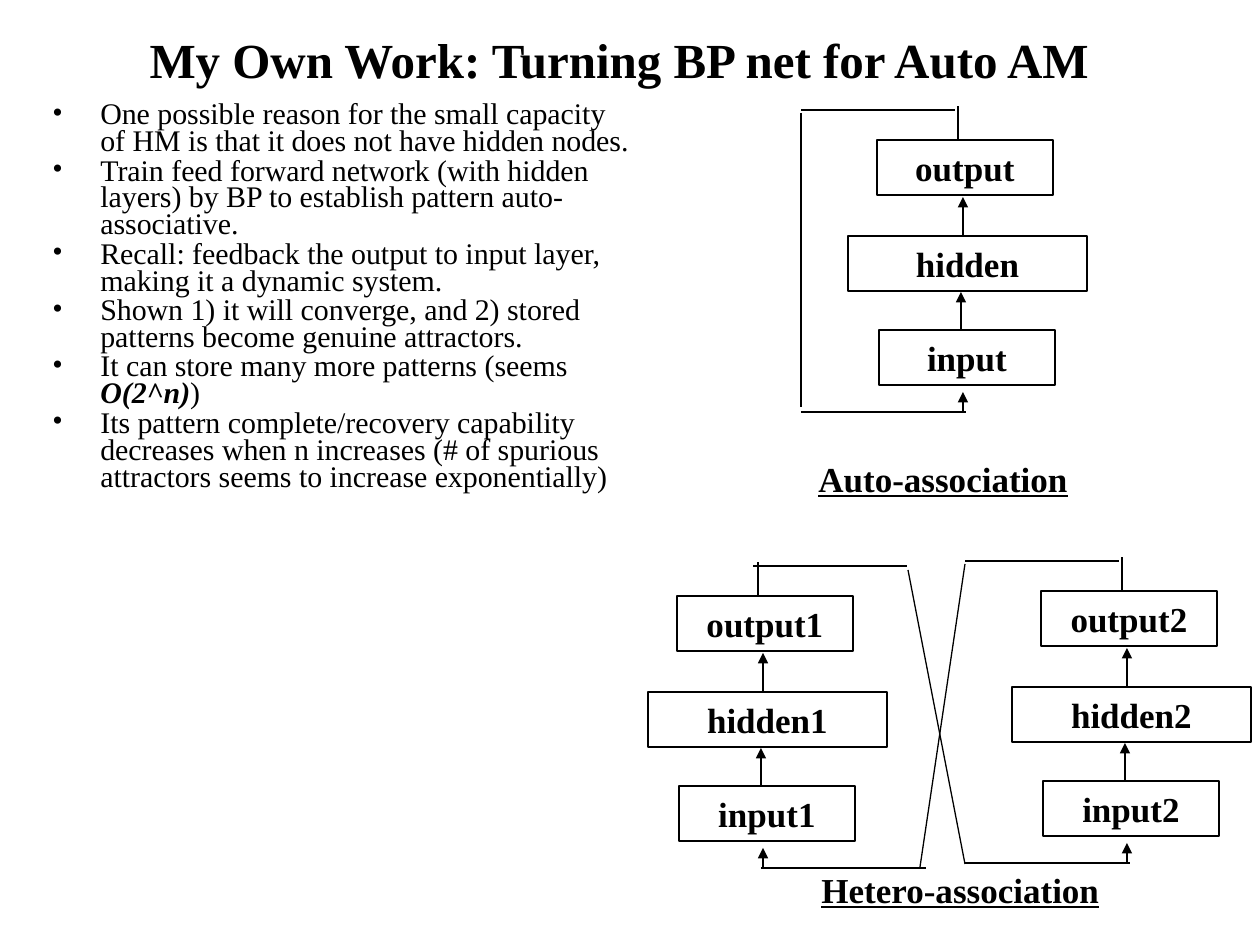
import lxml.etree
import pptx
import pptx.dml.color
import pptx.enum.shapes
import pptx.enum.text
import pptx.oxml
import pptx.oxml.ns
import pptx.util

PX = 914400 / 126
FONT = "Times New Roman"
BLACK = "000000"
ALIGN = pptx.enum.text.PP_ALIGN
ANCHOR = pptx.enum.text.MSO_ANCHOR
AUTO_SIZE = pptx.enum.text.MSO_AUTO_SIZE

TITLE = "My Own Work: Turning BP net for Auto AM"
# Each bullet is a list of (text, emphasised) runs.
BULLETS = [
    [("One possible reason for the small capacity of HM is that it does not have hidden nodes.", False)],
    [("Train feed forward network (with hidden layers) by BP to establish pattern auto-associative.", False)],
    [("Recall: feedback the output to input layer, making it a dynamic system.", False)],
    [("Shown 1) it will converge, and 2) stored patterns become genuine attractors.", False)],
    [("It can store many more patterns (seems ", False), ("O(2^n)", True), (")", False)],
    [("Its pattern complete/recovery capability decreases when n increases "
      "(# of spurious attractors seems to increase exponentially)", False)],
]
CAPTIONS = [("Auto-association", (806, 451, 291, 55)), ("Hetero-association", (809, 862, 333, 55))]

# Offsets below are measured from the top left corner of a network's output box.
LAYERS = [("input", (2, 190, 176, 55)), ("hidden", (-29, 96, 239, 55)), ("output", (0, 0, 176, 55))]
ARROWS = [(86, 272, 86, 252), (84, 191, 84, 152), (86, 96, 86, 57)]
STEM = (81, 0, 81, -34)
LOOP_LEFT = [(78, -30, -76, -30), (-76, 272, 89, 272)]
LOOP_RIGHT = [(230, -30, 76, -30), (84, 272, 249, 272)]

# Each group: networks as (suffix, origin, loop lines), then feedback lines.
GROUPS = [
    ([("1", (677, 596), LOOP_RIGHT), ("2", (1041, 591), LOOP_LEFT)],
     [(908, 570, 965, 864), (965, 564, 920, 867)]),
    ([("", (877, 140), LOOP_LEFT)], [(801, 113, 801, 407)]),
]


def px(value):
    return pptx.util.Emu(round(value * PX))


def color(hex_code):
    return pptx.dml.color.RGBColor.from_string(hex_code)


def place(shape, box):
    shape.left, shape.top, shape.width, shape.height = map(px, box)


def set_frame(frame, anchor=ANCHOR.TOP, auto_size=AUTO_SIZE.NONE):
    frame.word_wrap = True
    frame.auto_size = auto_size
    frame.vertical_anchor = anchor


def add_text(paragraph, text, size=20, bold=False, italic=False, underline=False,
             align=ALIGN.LEFT, before=None):
    paragraph.alignment = align
    if before is not None:
        paragraph.space_before = pptx.util.Pt(before)
    run = paragraph.add_run()
    run.text = text
    font = run.font
    font.name, font.size = FONT, pptx.util.Pt(size)
    font.bold, font.italic, font.underline = bold, italic, underline
    font.color.rgb = color(BLACK)


def add_bullet_mark(paragraph):
    properties = paragraph._p.get_or_add_pPr()
    properties.set("marL", str(px(48)))
    properties.set("indent", str(-px(48)))
    namespace = pptx.oxml.ns.nsdecls("a")
    for xml in (
        f'<a:buClr {namespace}><a:srgbClr val="{BLACK}"/></a:buClr>',
        f'<a:buFont {namespace} typeface="{FONT}"/>',
        f'<a:buChar {namespace} char="•"/>',
    ):
        properties.append(pptx.oxml.parse_xml(xml))


def add_line(shapes, ends, arrow=False):
    line = shapes.add_connector(pptx.enum.shapes.MSO_CONNECTOR.STRAIGHT, *map(px, ends))
    line.line.width = pptx.util.Pt(0.75)
    line.line.color.rgb = color(BLACK)
    tag = pptx.oxml.ns.qn
    if arrow:
        lxml.etree.SubElement(line.line._get_or_add_ln(), tag("a:tailEnd"), type="triangle")
    lxml.etree.SubElement(line._element.spPr, tag("a:effectLst"))


def add_layer(shapes, text, box):
    shape = shapes.add_shape(pptx.enum.shapes.MSO_SHAPE.RECTANGLE, *map(px, box))
    shape.shadow.inherit = False
    shape.fill.background()
    shape.line.color.rgb = color(BLACK)
    shape.line.width = pptx.util.Pt(0.75)
    set_frame(shape.text_frame, auto_size=AUTO_SIZE.SHAPE_TO_FIT_TEXT)
    add_text(shape.text_frame.paragraphs[0], text, bold=True, align=ALIGN.CENTER, before=12.5)


def add_network(shapes, suffix, origin, loop):
    x, y = origin
    for name, (left, top, width, height) in LAYERS:
        add_layer(shapes, name + suffix, (x + left, y + top, width, height))
    for ends in [STEM, *loop, *ARROWS]:
        x1, y1, x2, y2 = ends
        add_line(shapes, (x + x1, y + y1, x + x2, y + y2), arrow=ends in ARROWS)


def main():
    presentation = pptx.Presentation()
    presentation.slide_width, presentation.slide_height = px(1260), px(945)
    slide = presentation.slides.add_slide(presentation.slide_layouts[5])

    title = slide.shapes.title
    place(title, (94, 30, 1050, 58))
    set_frame(title.text_frame, anchor=ANCHOR.MIDDLE)
    add_text(title.text_frame.paragraphs[0], TITLE, size=28, bold=True, align=ALIGN.CENTER)

    body = slide.shapes.add_textbox(*map(px, (40, 97, 606, 475))).text_frame
    set_frame(body)
    for index, runs in enumerate(BULLETS):
        paragraph = body.add_paragraph() if index else body.paragraphs[0]
        paragraph.line_spacing = 0.75
        for text, emphasised in runs:
            add_text(paragraph, text, size=17.1, bold=emphasised, italic=emphasised, before=1.4)
        add_bullet_mark(paragraph)

    for networks, feedback in GROUPS:
        group = slide.shapes.add_group_shape()
        for suffix, origin, loop in networks:
            add_network(group.shapes, suffix, origin, loop)
        for ends in feedback:
            add_line(group.shapes, ends)

    for text, box in CAPTIONS:
        frame = slide.shapes.add_textbox(*map(px, box)).text_frame
        set_frame(frame, auto_size=AUTO_SIZE.SHAPE_TO_FIT_TEXT)
        add_text(frame.paragraphs[0], text, bold=True, underline=True, before=12.5)

    presentation.save("out.pptx")


if __name__ == "__main__":
    main()
